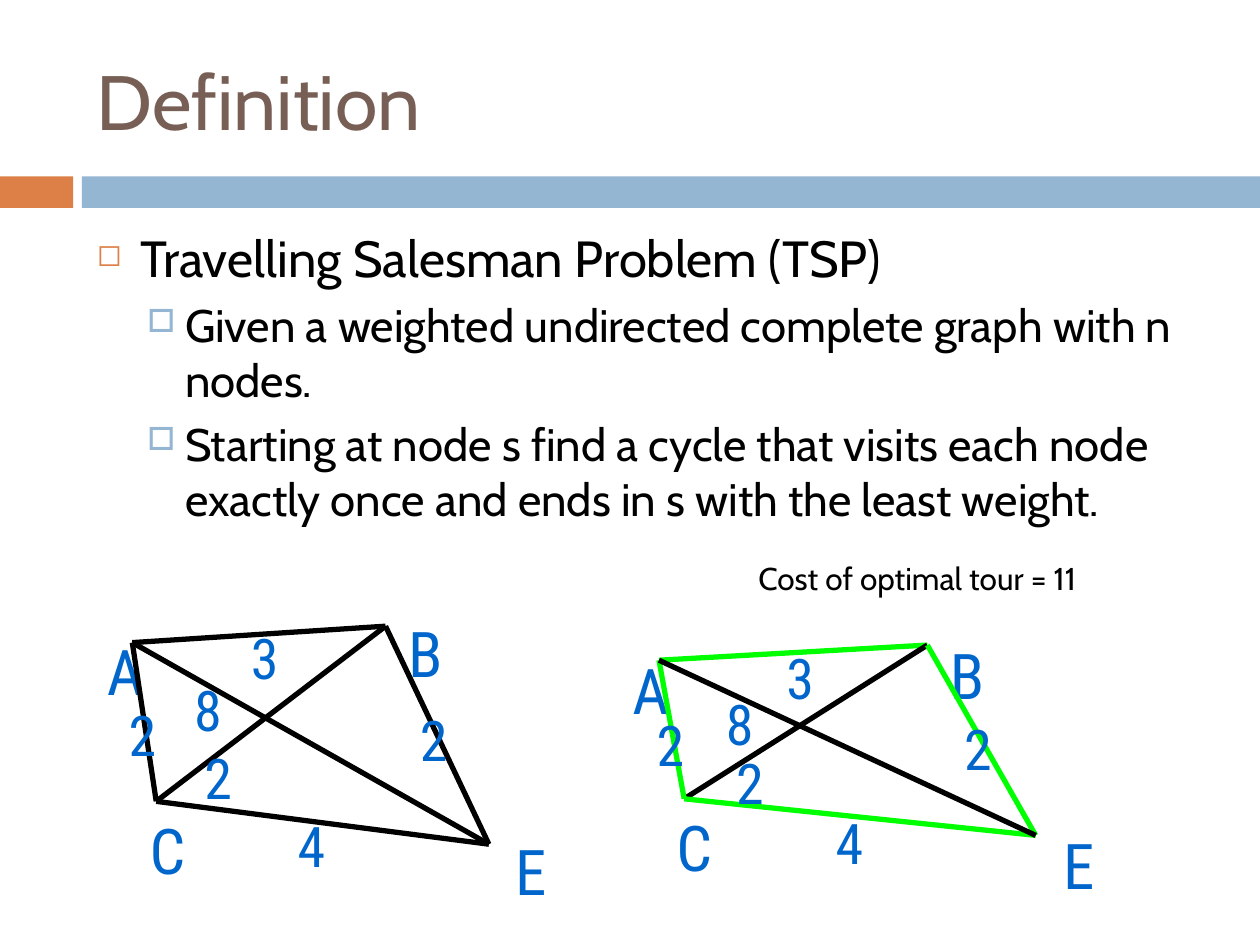
"""Build a slide that defines the travelling salesman problem with two graphs."""
import pptx
import pptx.dml.color
import pptx.enum.shapes
import pptx.enum.text
import pptx.oxml.ns
import pptx.util
from lxml import etree

Inches = pptx.util.Inches
Pt = pptx.util.Pt
RGBColor = pptx.dml.color.RGBColor
ALIGN = pptx.enum.text.PP_ALIGN
ANCHOR = pptx.enum.text.MSO_ANCHOR
qn = pptx.oxml.ns.qn

BLACK = RGBColor(0x00, 0x00, 0x00)
BROWN = RGBColor(0x77, 0x5F, 0x55)
ORANGE = RGBColor(0xDD, 0x80, 0x47)
PALE = RGBColor(0x94, 0xB6, 0xD2)
BLUE = RGBColor(0x00, 0x66, 0xCC)
GREEN = RGBColor(0x00, 0xFF, 0x00)

EDGES = ["AB", "CB", "AC", "EB", "CE", "AE"]
TOUR = ["AB", "AC", "EB", "CE"]
COSTS = "322284"


class Deck:
    """Holds the style and the current slide."""

    face = "Cabin"
    mark = "Roboto Condensed"

    def __init__(self, slide):
        self.slide = slide
        self.shapes = slide.shapes

    def band(self, left, width, color):
        box = self.shapes.add_shape(
            pptx.enum.shapes.MSO_SHAPE.RECTANGLE,
            Inches(left), Inches(1.4), Inches(width), Inches(0.25))
        box.shadow.inherit = False
        box.fill.solid()
        box.fill.fore_color.rgb = color
        box.line.fill.background()

    def frame(self, left, top, width, height, wrap=True):
        box = self.shapes.add_textbox(
            Inches(left), Inches(top), Inches(width), Inches(height))
        box.text_frame.word_wrap = wrap
        return box.text_frame

    def words(self, para, text, size, color, face=None):
        run = para.add_run()
        run.text = text
        run.font.size = Pt(size)
        run.font.name = face or self.face
        run.font.color.rgb = color

    def bullet(self, para, char, color, scale, left, hang):
        props = para._p.get_or_add_pPr()
        props.set("marL", str(Inches(left)))
        props.set("indent", str(-Inches(hang)))
        tint = etree.SubElement(props, qn("a:buClr"))
        etree.SubElement(tint, qn("a:srgbClr"), val=str(color))
        etree.SubElement(props, qn("a:buSzPct"), val=str(scale * 1000))
        etree.SubElement(props, qn("a:buChar"), char=char)

    def label(self, text, spot, box, size):
        frame = self.frame(*spot, *box, wrap=False)
        para = frame.paragraphs[0]
        para.alignment = ALIGN.CENTER
        self.words(para, text, size, BLUE, self.mark)

    def edge(self, start, end, color):
        line = self.shapes.add_connector(
            pptx.enum.shapes.MSO_CONNECTOR.STRAIGHT,
            *map(Inches, start), *map(Inches, end))
        line.line.color.rgb = color
        line.line.width = Pt(3)
        etree.SubElement(line._element.spPr, qn("a:effectLst"))

    def graph(self, nodes, names, costs, name_box, cost_box, tour=()):
        self.shapes = self.slide.shapes.add_group_shape().shapes
        for name, spot in zip(nodes, names):
            self.label(name, spot, name_box, 36)
        for pair in EDGES:
            color = GREEN if pair in tour else BLACK
            self.edge(nodes[pair[0]], nodes[pair[1]], color)
        for cost, spot in zip(COSTS, costs):
            self.label(cost, spot, cost_box, 32)
        self.shapes = self.slide.shapes


def main():
    show = pptx.Presentation()
    show.slide_width, show.slide_height = Inches(10), Inches(7.5)
    deck = Deck(show.slides.add_slide(show.slide_layouts[6]))

    deck.band(0, 0.58, ORANGE)
    deck.band(0.65, 9.35, PALE)

    title = deck.frame(0.67, 0.25, 8.92, 1.08)
    title.vertical_anchor = ANCHOR.MIDDLE
    deck.words(title.paragraphs[0], "Definition", 44, BROWN)

    body = deck.frame(0.67, 1.75, 8.92, 4.92)
    head = body.paragraphs[0]
    deck.bullet(head, "◻", ORANGE, 60, 0.35, 0.35)
    deck.words(head, "Travelling Salesman Problem (TSP)", 29, BLACK)
    for text in (
        "Given a weighted undirected complete graph with n nodes.",
        "Starting at node s find a cycle that visits each node "
        "exactly once and ends in s with the least weight.",
    ):
        para = body.add_paragraph()
        para.level = 1
        deck.bullet(para, "□", PALE, 70, 0.7, 0.3)
        para.space_before = Pt(5.5)
        deck.words(para, text, 26, BLACK)

    deck.graph(
        {"A": (1.05, 5.1), "B": (3.06, 4.97), "C": (1.24, 6.36), "E": (3.88, 6.7)},
        [(0.75, 4.97), (3.14, 4.83), (1.09, 6.39), (3.99, 6.56)],
        [(1.98, 4.9), (1.01, 5.51), (3.32, 5.55),
         (1.61, 5.85), (1.53, 5.31), (2.35, 6.39)],
        (0.23, 0.27), (0.11, 0.24))
    deck.graph(
        {"A": (5.23, 5.24), "B": (7.36, 5.12), "C": (5.43, 6.34), "E": (8.22, 6.63)},
        [(4.92, 5.12), (7.44, 5), (5.27, 6.37), (8.34, 6.51)],
        [(6.22, 5.06), (5.19, 5.59), (7.63, 5.62),
         (5.82, 5.89), (5.74, 5.42), (6.61, 6.37)],
        (0.24, 0.24), (0.12, 0.21), TOUR)

    note = deck.frame(5.92, 4.42, 3.25, 0.42).paragraphs[0]
    note.line_spacing = 0.9
    deck.words(note, "Cost of optimal tour = 11", 18, BLACK)

    show.save("out.pptx")


if __name__ == "__main__":
    main()
